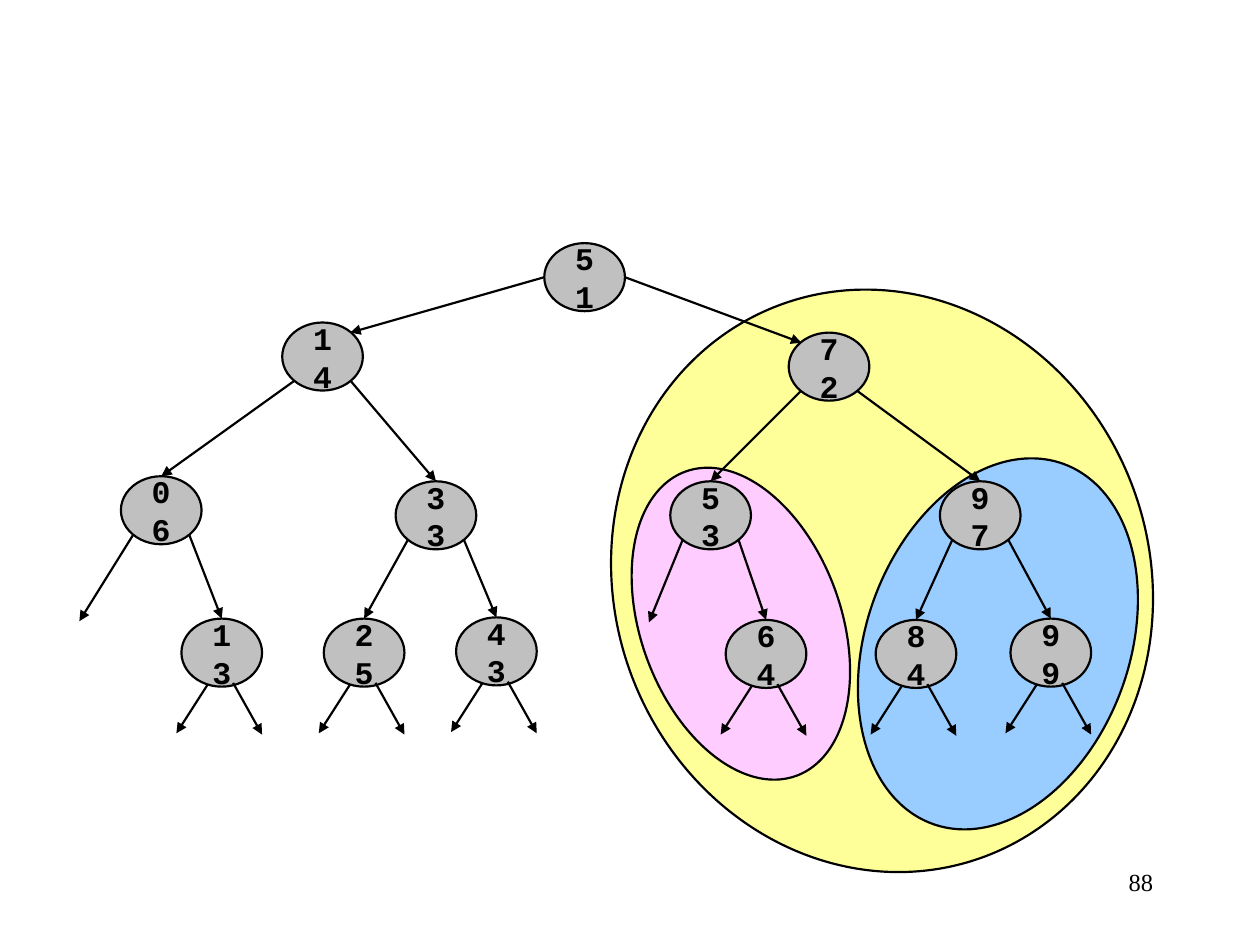
from lxml.etree import SubElement
from pptx import Presentation
from pptx.dml.color import RGBColor
from pptx.enum.shapes import MSO_CONNECTOR, MSO_SHAPE
from pptx.enum.text import MSO_ANCHOR, PP_ALIGN
from pptx.oxml.ns import qn
from pptx.util import Inches, Pt

BLACK = RGBColor(0x00, 0x00, 0x00)
GRAY = RGBColor(0xC0, 0xC0, 0xC0)
YELLOW = RGBColor(0xFF, 0xFF, 0x99)
BLUE = RGBColor(0x99, 0xCC, 0xFF)
PINK = RGBColor(0xFF, 0xCC, 0xFF)

# Subtree regions: centre x, centre y, width, height, rotation, fill
REGIONS = [
    (7.0, 4.61, 4.25, 4.67, 340, YELLOW),
    (7.92, 5.11, 2.09, 3.04, 20, BLUE),
    (5.88, 4.95, 1.59, 2.57, 340, PINK),
]

# Search tree: key -> centre of its node
NODES = {
    "51": (4.64, 2.2),
    "14": (2.56, 2.83), "72": (6.58, 2.91),
    "06": (1.28, 4.05), "33": (3.46, 4.09), "53": (5.64, 4.09), "97": (7.78, 4.09),
    "13": (1.76, 5.18), "25": (2.89, 5.18), "43": (3.94, 5.17),
    "64": (6.08, 5.19), "84": (7.27, 5.19), "99": (8.34, 5.18),
}
ROOT = "51"
# Parent -> left and right child; a point is the end of an empty link
CHILDREN = {
    "51": ("14", "72"),
    "14": ("06", "33"), "72": ("53", "97"),
    "06": ((0.63, 4.93), "13"), "33": ("25", "43"),
    "53": ((5.15, 4.94), "64"), "97": ("84", "99"),
}
NODE_W, NODE_H = 0.64, 0.54
DIAGONAL_X, DIAGONAL_Y = 0.22, 0.19  # corner points on a node's outline
# Empty links of a leaf: start and end, measured from its centre
LEAF_LINKS = [((-0.11, 0.25), (-0.36, 0.64)), ((0.09, 0.24), (0.32, 0.65))]


def shift(point, offset):
    return point[0] + offset[0], point[1] + offset[1]


def write(shape, text, *, font, size, align, bold=False, anchor=MSO_ANCHOR.TOP):
    frame = shape.text_frame
    frame.word_wrap = True
    frame.vertical_anchor = anchor
    para = frame.paragraphs[0]
    para.alignment = align
    span = para.add_run()
    span.text = text
    span.font.name, span.font.size, span.font.bold = font, Pt(size), bold
    span.font.color.rgb = BLACK


def add_ellipse(page, center, width, height, fill, rotation=0):
    left, top = shift(center, (-width / 2, -height / 2))
    shape = page.shapes.add_shape(
        MSO_SHAPE.OVAL, Inches(left), Inches(top), Inches(width), Inches(height))
    shape.rotation = rotation
    shape.shadow.inherit = False
    shape.fill.solid()
    shape.fill.fore_color.rgb = fill
    shape.line.color.rgb = BLACK
    shape.line.width = Pt(1.25)
    return shape


def add_arrow(page, start, end):
    arrow = page.shapes.add_connector(
        MSO_CONNECTOR.STRAIGHT, *(Inches(value) for value in (*start, *end)))
    arrow.line.color.rgb = BLACK
    arrow.line.width = Pt(1.25)
    SubElement(arrow.line._get_or_add_ln(), qn("a:tailEnd"), type="triangle")
    SubElement(arrow._element.spPr, qn("a:effectLst"))


def add_links(page, key):
    center = NODES[key]
    if key not in CHILDREN:
        for start, end in LEAF_LINKS:
            add_arrow(page, shift(center, start), shift(center, end))
        return
    for side, child in zip((-1, 1), CHILDREN[key]):
        if key == ROOT:  # from the side of the root to the child's inner corner
            start = (side * NODE_W / 2, 0)
            entry = (-side * DIAGONAL_X, -DIAGONAL_Y)
        else:
            start = (side * DIAGONAL_X, DIAGONAL_Y)
            entry = (0, -NODE_H / 2)
        end = shift(NODES[child], entry) if child in NODES else child
        add_arrow(page, shift(center, start), end)


def main():
    deck = Presentation()
    deck.slide_width, deck.slide_height = Inches(10), Inches(7.5)
    page = deck.slides.add_slide(deck.slide_layouts[6])

    # Page number
    box = page.shapes.add_textbox(Inches(7.17), Inches(6.83), Inches(2.08), Inches(0.5))
    write(box, "88", font="Times New Roman", size=14, align=PP_ALIGN.RIGHT)

    # Subtree regions
    for x, y, width, height, rotation, fill in REGIONS:
        add_ellipse(page, (x, y), width, height, fill, rotation)

    # Tree nodes, then their links
    for key, center in NODES.items():
        node = add_ellipse(page, center, NODE_W, NODE_H, GRAY)
        write(node, key, font="Courier New", size=18, bold=True,
              align=PP_ALIGN.CENTER, anchor=MSO_ANCHOR.MIDDLE)
    for key in NODES:
        add_links(page, key)

    deck.save("out.pptx")


if __name__ == "__main__":
    main()
